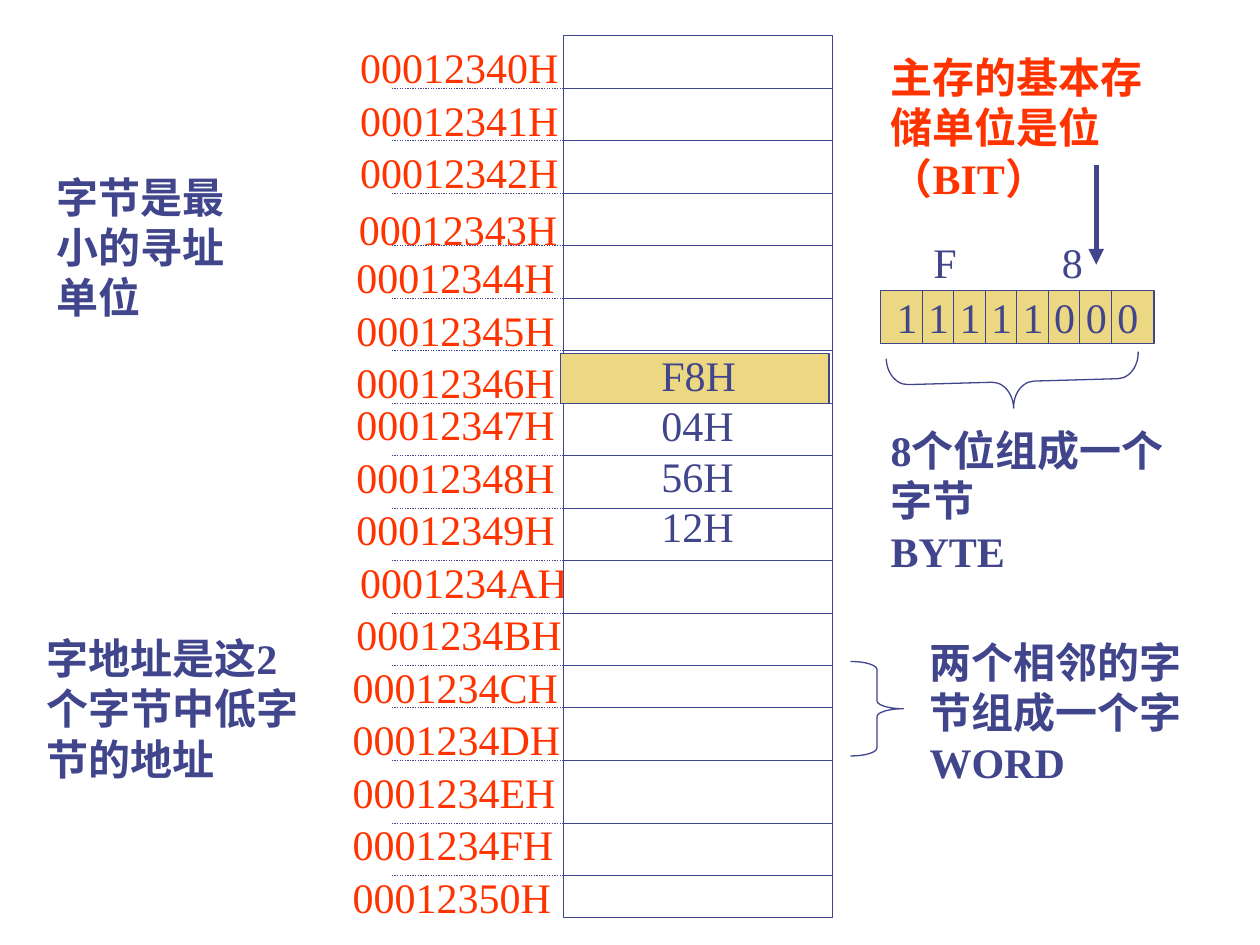
import pptx
import pptx.util
import pptx.dml.color
import pptx.enum.dml
import pptx.enum.shapes
import pptx.enum.text
import pptx.oxml.ns
import lxml.etree

NAVY, RED, GOLD, WHITE = "40458C", "FF3300", "ECD882", "FFFFFF"
SHAPES = pptx.enum.shapes.MSO_SHAPE
TEXT_ROW = 1.2

deck = pptx.Presentation()
deck.slide_width = pptx.util.Inches(10)
deck.slide_height = pptx.util.Inches(7.5)
column = deck.slide_width / 100
row = deck.slide_height / 18
slide = deck.slides.add_slide(deck.slide_layouts[6])


def paint(color_format, color):
    color_format.rgb = pptx.dml.color.RGBColor.from_string(color)


def place(kind, box, words="", color=NAVY, fill=None, bold=False, wrap=False):
    left, top, width, height = box
    x, y, w, h = round(left * column), round(top * row), round(width * column), round(height * row)
    if kind == "line":
        item = slide.shapes.add_connector(
            pptx.enum.shapes.MSO_CONNECTOR.STRAIGHT, x, y, x + w, y + h)
    elif kind == "text":
        item = slide.shapes.add_textbox(x, y, w, h)
    else:
        item = slide.shapes.add_shape(kind, x, y, w, h)
        item.shadow.inherit = False
        if fill:
            item.fill.solid()
            paint(item.fill.fore_color, fill)
        else:
            item.fill.background()
    if kind != "text":
        paint(item.line.color, color)
        item.line.width = pptx.util.Pt(0.75)
    if kind == "line":
        lxml.etree.SubElement(item.element.spPr, pptx.oxml.ns.qn("a:effectLst"))
    if words:
        item.text_frame.word_wrap = wrap
        item.text_frame.text = words
        for paragraph in item.text_frame.paragraphs:
            paragraph.font.name = "Times New Roman"
            paragraph.font.size = pptx.util.Pt(24)
            paragraph.font.bold = bold
            paint(paragraph.font.color, color)
    return item


word_brace = place(SHAPES.RIGHT_BRACE, (67.5, 12.6, 4.2, 1.8))
word_brace.adjustments[0] = 0.15

notes = [
    ("两个相邻的字节组成一个字WORD", (72.8, 12, 25, 3.12), NAVY),
    ("字节是最小的寻址单位", (3.5, 3.14, 18.3, 3.12), NAVY),
    ("字地址是这2个字节中低字节的地址", (2.7, 11.93, 22.8, 3.12), NAVY),
    ("8个位组成一个字节\vBYTE", (69.7, 7.97, 24.2, 2.16), NAVY),
    ("主存的基本存储单位是位（BIT）", (69.7, 0.86, 25.2, 3.12), RED),
]
for words, box, color in notes:
    place("text", box, words, color, bold=True, wrap=True)

memory_top = 0.68
address_lefts = [27.6] * 3 + [27.5] + [27.3] * 6 + [27.6, 27.3] + [27] * 5
for index, left in enumerate(address_lefts):
    shift = 0.07 if index == 3 else -0.2 if index >= 7 else 0
    width = 18.6 if 10 <= index <= 15 else 17.8
    place("text", (left, memory_top + index + shift, width, TEXT_ROW), f"{0x12340 + index:08X}H", RED)

place(SHAPES.RECTANGLE, (44.7, memory_top, 21.4, 16.8), fill=WHITE)
boundaries = [memory_top + index for index in range(1, 13)] + [13.48, 14.48, 15.68, 16.68]
for boundary in boundaries:
    place("line", (44.7, boundary, 21.4, 0))
    guide = place("line", (31.1, boundary, 13.6, 0))
    guide.line.dash_style = pptx.enum.dml.MSO_LINE.ROUND_DOT

place(SHAPES.RECTANGLE, (44.5, 6.74, 21.3, 0.94), fill=GOLD)
place("text", (51.5, 6.54, 9, 4.08), "F8H\n04H\n56H\n12H")

bits = place(SHAPES.RECTANGLE, (69.9, 5.54, 21.7, 1), "1 1 1 1 1 0 0 0", fill=GOLD)
bits.text_frame.vertical_anchor = pptx.enum.text.MSO_ANCHOR.MIDDLE
bits.text_frame.paragraphs[0].alignment = pptx.enum.text.PP_ALIGN.CENTER
for divider in range(7):
    place("line", (73.2 + 2.5 * divider, 5.54, 0, 1))
for digit, left in (("F", 73.1), ("8", 83.3)):
    place("text", (left, 4.39, 4, TEXT_ROW), digit)

byte_brace = place(SHAPES.LEFT_BRACE, (78.3, 4.87, 4.2, 4.8))
byte_brace.adjustments[0] = 0.4
byte_brace.rotation = 268.4

bit_arrow = place("line", (87, 3.14, 0, 1.9))
bit_arrow.line.width = pptx.util.Pt(3)
arrow_outline = bit_arrow.element.spPr.find(pptx.oxml.ns.qn("a:ln"))
lxml.etree.SubElement(arrow_outline, pptx.oxml.ns.qn("a:tailEnd"), type="triangle")

deck.save("out.pptx")
